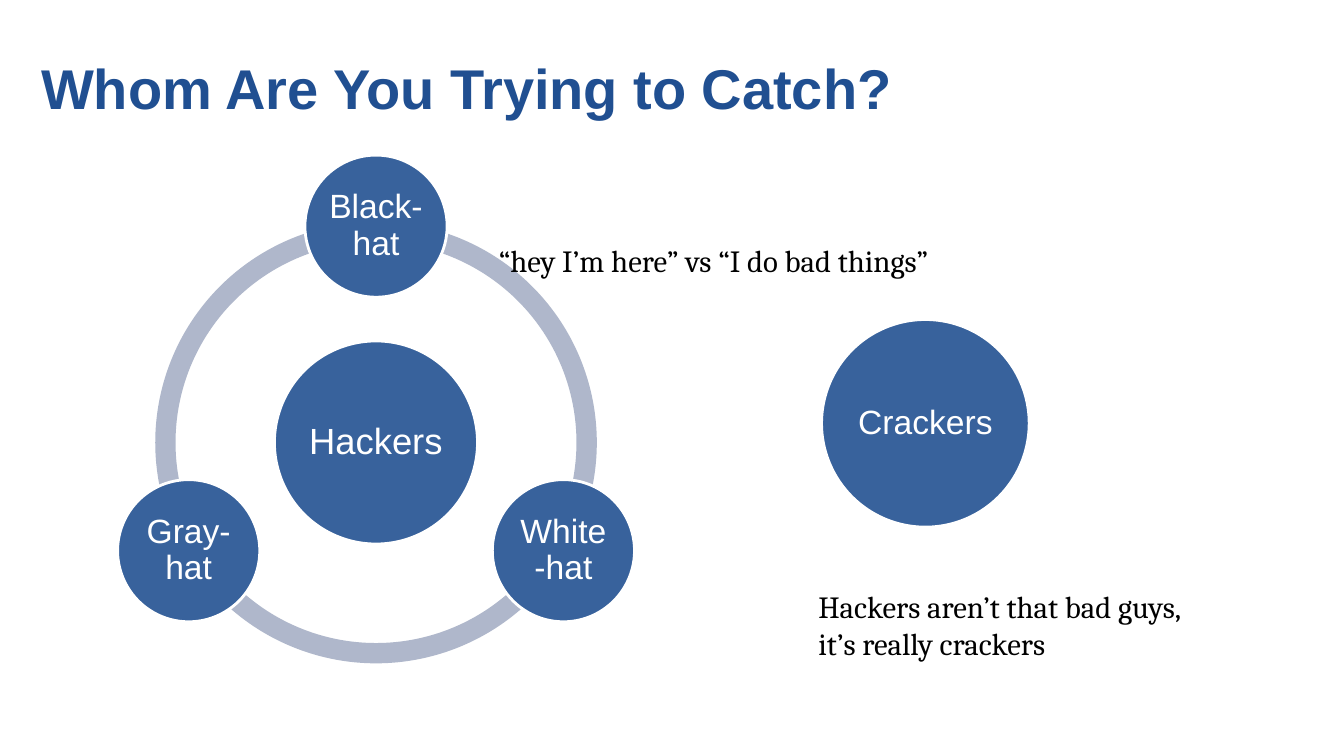
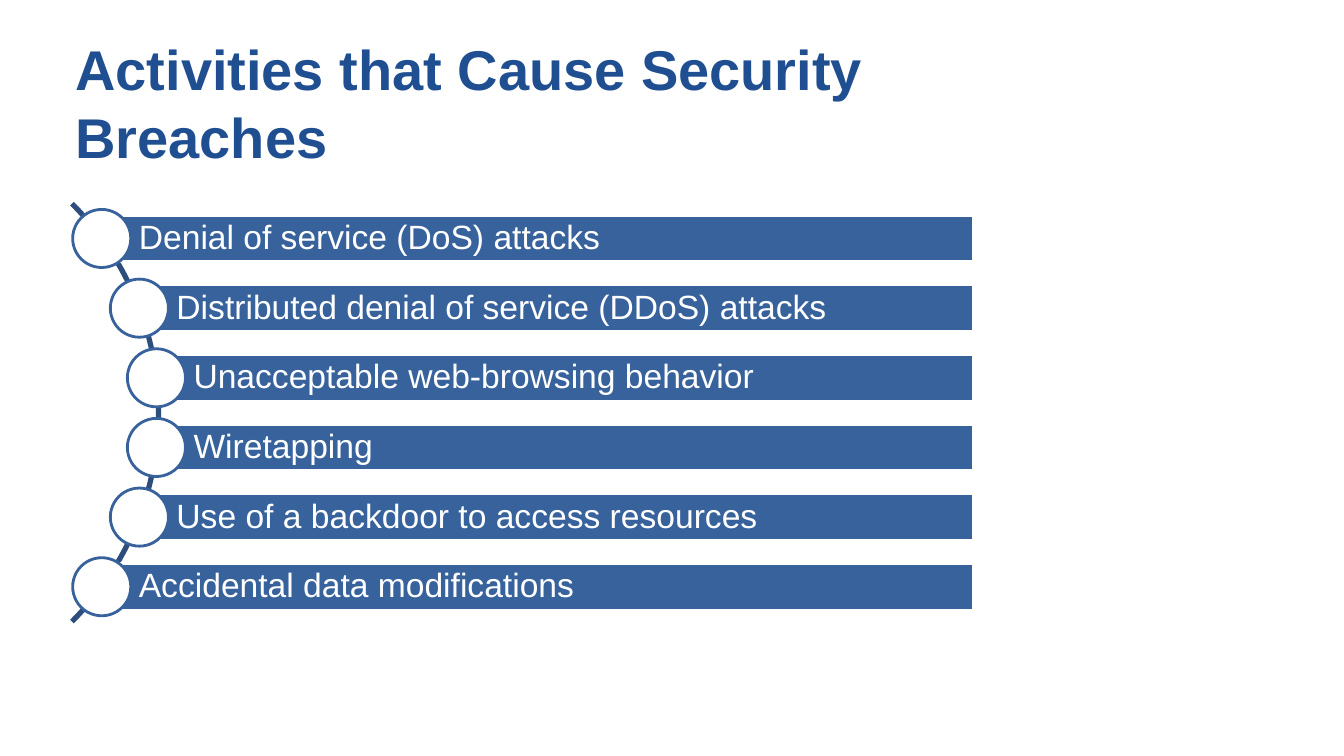
import math
import pptx
import pptx.util
import pptx.dml.color
import pptx.enum.shapes
import pptx.enum.text

Pt = pptx.util.Pt
Kind = pptx.enum.shapes.MSO_SHAPE
Align = pptx.enum.text.PP_ALIGN
Anchor = pptx.enum.text.MSO_ANCHOR

BLUE, NAVY, DARK = "38629C", "204F91", "2D4E7D"
PALE, WHITE, BLACK = "AFB7CB", "FFFFFF", "000000"

TITLE = {"font": {"name": "Arial", "size": Pt(40), "bold": True},
         "frame": {"vertical_anchor": Anchor.MIDDLE}, "para": {}}
NOTE = {"font": {"name": "Cambria", "size": Pt(22)}, "frame": {}, "para": {}}
DISC = {"font": {"name": "Arial", "size": Pt(24)},
        "frame": {"vertical_anchor": Anchor.MIDDLE, "margin_left": Pt(2),
                  "margin_right": Pt(2), "margin_top": Pt(2), "margin_bottom": Pt(2)},
        "para": {"alignment": Align.CENTER, "line_spacing": 0.9}}
HUB = {**DISC, "font": {"name": "Arial", "size": Pt(26)}}
BAR = {"font": {"name": "Arial", "size": Pt(24)},
       "frame": {"vertical_anchor": Anchor.MIDDLE, "margin_left": Pt(26.5),
                 "margin_right": Pt(5), "margin_top": Pt(5), "margin_bottom": Pt(5)},
       "para": {"alignment": Align.LEFT, "line_spacing": 0.9}}


def paint(part, color):
    part.solid()
    part.fore_color.rgb = pptx.dml.color.RGBColor.from_string(color)


def apply(target, values):
    for name, value in values.items():
        setattr(target, name, value)


def write(shape, text, style, color):
    frame = shape.text_frame
    frame.word_wrap = True
    apply(frame, style["frame"])
    para = frame.paragraphs[0]
    apply(para, style["para"])
    run = para.add_run()
    run.text = text
    apply(run.font, style["font"])
    paint(run.font.fill, color)


def label(slide, box, text, style, color):
    write(slide.shapes.add_textbox(*map(Pt, box)), text, style, color)


def draw(slide, kind, box, fill, line=None):
    shape = slide.shapes.add_shape(kind, *map(Pt, box))
    shape.shadow.inherit = False
    paint(shape.fill, fill)
    if line:
        paint(shape.line.fill, line)
        shape.line.width = Pt(2)
    else:
        shape.line.fill.background()
    return shape


def disc(slide, mid, size, fill=BLUE, line=WHITE):
    x, y = mid
    box = (x - size / 2, y - size / 2, size, size)
    return draw(slide, Kind.OVAL, box, fill, line)


def polar(mid, radius, angle):
    turn = math.radians(angle)
    return mid[0] + radius * math.cos(turn), mid[1] + radius * math.sin(turn)


def wheel(slide, box, hub, hats):
    left, top, size = box
    mid = (left + size / 2, top + size / 2)
    ring = draw(slide, Kind.DONUT, (left, top, size, size), PALE)
    ring.adjustments[0] = 0.046
    write(disc(slide, mid, size * 0.46), hub, HUB, WHITE)
    for i, hat in enumerate(hats):
        spot = polar(mid, size * 0.49, -90 + i * 360 / len(hats))
        write(disc(slide, spot, size * 0.322), hat, DISC, WHITE)


def curve(slide, mid, radius):
    points = [tuple(map(Pt, polar(mid, radius, a))) for a in range(-45, 46)]
    pen = slide.shapes.build_freeform(*points[0])
    pen.add_line_segments(points[1:], close=False)
    arc = pen.convert_to_shape()
    arc.shadow.inherit = False
    arc.fill.background()
    paint(arc.line.fill, DARK)
    arc.line.width = Pt(3.75)


def bars(slide, box, items):
    left, top, width, height = box
    radius = height / math.sqrt(2)
    mid = (left - radius / math.sqrt(2), top + height / 2)
    step, tall = height / 6, height / 9
    curve(slide, mid, radius)
    for i, item in enumerate(items):
        rise = (i - (len(items) - 1) / 2) * step
        x = mid[0] + math.sqrt(radius ** 2 - rise ** 2)
        y = mid[1] + rise
        row = (x, y - tall / 2, left + width - x, tall)
        write(draw(slide, Kind.RECTANGLE, row, BLUE, WHITE), item, BAR, WHITE)
        disc(slide, (x, y), 41.5, WHITE, BLUE)


def start(deck, box, text):
    slide = deck.slides.add_slide(deck.slide_layouts[6])
    label(slide, box, text, TITLE, NAVY)
    return slide


def main():
    deck = pptx.Presentation()
    apply(deck, {"slide_width": Pt(960), "slide_height": Pt(540)})

    catch = start(deck, (22.3, 13.7, 653.8, 97.2), "Whom Are You Trying to Catch?")
    wheel(catch, (110.9, 158.4, 315.4), "Hackers", ["Black-hat", "White-hat", "Gray-hat"])
    write(disc(catch, (661, 302.4), 148.3), "Crackers", DISC, WHITE)
    label(catch, (577.4, 416.2, 288.7, 60.5),
          "Hackers aren’t that bad guys, it’s really crackers", NOTE, BLACK)
    label(catch, (349.2, 169.2, 597.6, 33.8),
          "“hey I’m here” vs “I do bad things”", NOTE, BLACK)

    breach = start(deck, (46.8, 23, 653.8, 100), "Activities that Cause Security Breaches")
    bars(breach, (51.4, 145.5, 644.2, 298.5), [
        "Denial of service (DoS) attacks",
        "Distributed denial of service (DDoS) attacks",
        "Unacceptable web-browsing behavior",
        "Wiretapping",
        "Use of a backdoor to access resources",
        "Accidental data modifications",
    ])
    deck.save("out.pptx")


if __name__ == "__main__":
    main()
